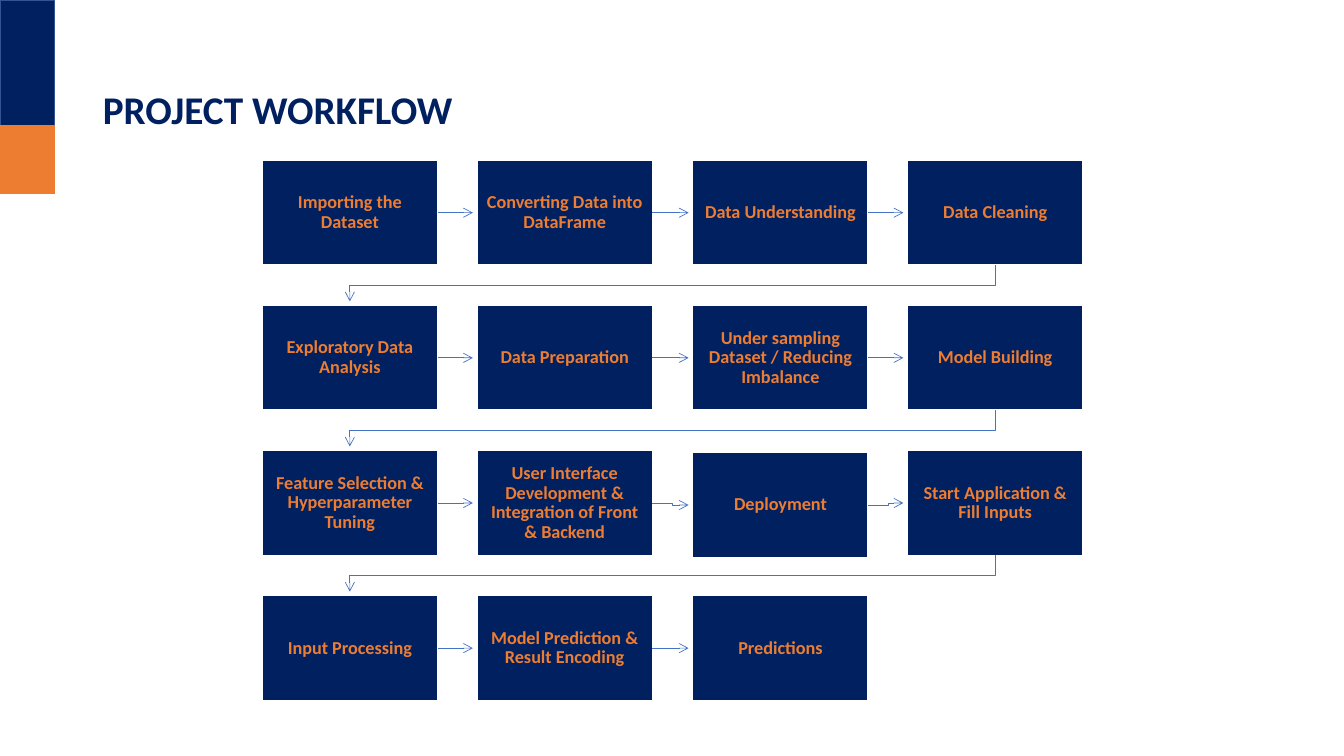
"""Build the project workflow slide."""
import dataclasses

import lxml.etree
import pptx
import pptx.dml.color
import pptx.enum.shapes
import pptx.enum.text
import pptx.oxml.ns
import pptx.shapes.autoshape
import pptx.shapes.base
import pptx.slide
import pptx.text.text
import pptx.util

NAVY = pptx.dml.color.RGBColor(0x00, 0x20, 0x60)
NAVY_EDGE = pptx.dml.color.RGBColor(0x32, 0x54, 0x91)
ORANGE = pptx.dml.color.RGBColor(0xED, 0x7D, 0x31)
BLUE = pptx.dml.color.RGBColor(0x44, 0x72, 0xC4)
WHITE = pptx.dml.color.RGBColor(0xFF, 0xFF, 0xFF)

EMU_PER_PX = 9144
COLUMNS = 4
GRID_LEFT, GRID_RIGHT, GRID_TOP = 260, 900, 159
ROW_PITCH = 144
STEP_WIDTH, STEP_HEIGHT = 174, 104
ARROW_GAP = 4
TURN_DEPTH = 20


@dataclasses.dataclass(frozen=True)
class Box:
    left: int
    top: int
    width: int
    height: int
    fill: pptx.dml.color.RGBColor
    edge: pptx.dml.color.RGBColor

    @property
    def center(self) -> int:
        return self.left + self.width // 2

    @property
    def middle(self) -> int:
        return self.top + self.height // 2


@dataclasses.dataclass(frozen=True)
class Step:
    label: str
    drop: int = 0


ACCENTS = (
    Box(0, 0, 54, 192, NAVY, NAVY_EDGE),
    Box(0, 125, 54, 67, ORANGE, ORANGE),
)
STEPS = (
    Step("Importing the Dataset"),
    Step("Converting Data into DataFrame"),
    Step("Data Understanding"),
    Step("Data Cleaning"),
    Step("Exploratory Data Analysis"),
    Step("Data Preparation"),
    Step("Under sampling Dataset / Reducing Imbalance"),
    Step("Model Building"),
    Step("Feature Selection & Hyperparameter Tuning"),
    Step("User Interface Development & Integration of Front & Backend"),
    Step("Deployment", drop=2),
    Step("Start Application & Fill Inputs"),
    Step("Input Processing"),
    Step("Model Prediction & Result Encoding"),
    Step("Predictions"),
)


def px(length: int) -> pptx.util.Emu:
    return pptx.util.Emu(length * EMU_PER_PX)


def step_box(index: int, step: Step) -> Box:
    row, column = divmod(index, COLUMNS)
    left = round(GRID_LEFT + column * (GRID_RIGHT - GRID_LEFT) / (COLUMNS - 1))
    top = GRID_TOP + row * ROW_PITCH + step.drop
    return Box(left, top, STEP_WIDTH, STEP_HEIGHT, NAVY, WHITE)


def style_paragraph(paragraph: pptx.text.text._Paragraph, size: int,
                    color: pptx.dml.color.RGBColor,
                    alignment: pptx.enum.text.PP_ALIGN) -> None:
    paragraph.alignment = alignment
    paragraph.line_spacing = 0.9
    paragraph.font.name = "Calibri"
    paragraph.font.size = pptx.util.Pt(size)
    paragraph.font.bold = True
    paragraph.font.color.rgb = color


def add_title(slide: pptx.slide.Slide, text: str) -> None:
    title = slide.shapes.title
    title.left, title.top, title.width, title.height = px(92), px(38), px(1150), px(145)
    title.text_frame.text = text
    title.text_frame.vertical_anchor = pptx.enum.text.MSO_ANCHOR.MIDDLE
    style_paragraph(title.text_frame.paragraphs[0], 28, NAVY, pptx.enum.text.PP_ALIGN.LEFT)


def add_box(slide: pptx.slide.Slide, box: Box) -> pptx.shapes.autoshape.Shape:
    shape = slide.shapes.add_shape(
        pptx.enum.shapes.MSO_SHAPE.RECTANGLE,
        px(box.left), px(box.top), px(box.width), px(box.height))
    shape.shadow.inherit = False
    shape.fill.solid()
    shape.fill.fore_color.rgb = box.fill
    shape.line.color.rgb = box.edge
    shape.line.width = pptx.util.Pt(1)
    return shape


def add_step(slide: pptx.slide.Slide, box: Box, label: str) -> pptx.shapes.autoshape.Shape:
    shape = add_box(slide, box)
    frame = shape.text_frame
    frame.word_wrap = True
    frame.vertical_anchor = pptx.enum.text.MSO_ANCHOR.MIDDLE
    frame.margin_left = frame.margin_right = px(10)
    frame.margin_top = frame.margin_bottom = px(10)
    frame.text = label
    style_paragraph(frame.paragraphs[0], 13, ORANGE, pptx.enum.text.PP_ALIGN.CENTER)
    return shape


def style_arrow(arrow: pptx.shapes.base.BaseShape) -> None:
    arrow.line.color.rgb = BLUE
    arrow.line.width = pptx.util.Pt(0.5)
    properties = arrow._element.spPr
    line = properties.find(pptx.oxml.ns.qn("a:ln"))
    lxml.etree.SubElement(line, pptx.oxml.ns.qn("a:tailEnd"), type="arrow")
    lxml.etree.SubElement(properties, pptx.oxml.ns.qn("a:effectLst"))


def add_straight_arrow(slide: pptx.slide.Slide, source: Box, target: Box,
                       source_shape: pptx.shapes.autoshape.Shape) -> None:
    arrow = slide.shapes.add_connector(
        pptx.enum.shapes.MSO_CONNECTOR.STRAIGHT,
        px(source.left + source.width), px(source.middle),
        px(target.left - ARROW_GAP), px(target.middle))
    arrow.begin_connect(source_shape, 3)
    style_arrow(arrow)


def add_bent_arrow(slide: pptx.slide.Slide, points: list[tuple[int, int]]) -> None:
    builder = slide.shapes.build_freeform(*points[0], scale=EMU_PER_PX)
    builder.add_line_segments(points[1:], close=False)
    arrow = builder.convert_to_shape()
    arrow.fill.background()
    style_arrow(arrow)


def add_arrow(slide: pptx.slide.Slide, source: Box, target: Box,
              source_shape: pptx.shapes.autoshape.Shape) -> None:
    right, bottom = source.left + source.width, source.top + source.height
    if target.left < source.left:
        turn = bottom + TURN_DEPTH
        add_bent_arrow(slide, [(source.center, bottom), (source.center, turn),
                               (target.center, turn), (target.center, target.top - ARROW_GAP)])
    elif source.middle == target.middle:
        add_straight_arrow(slide, source, target, source_shape)
    else:
        turn = right + TURN_DEPTH
        add_bent_arrow(slide, [(right, source.middle), (turn, source.middle),
                               (turn, target.middle), (target.left - ARROW_GAP, target.middle)])


def main() -> None:
    presentation = pptx.Presentation()
    presentation.slide_width = pptx.util.Inches(13.33)
    presentation.slide_height = pptx.util.Inches(7.5)
    slide = presentation.slides.add_slide(presentation.slide_layouts[5])
    add_title(slide, "PROJECT WORKFLOW")
    for accent in ACCENTS:
        add_box(slide, accent)
    boxes = [step_box(index, step) for index, step in enumerate(STEPS)]
    shapes = [add_step(slide, box, step.label) for box, step in zip(boxes, STEPS)]
    for source, target, shape in zip(boxes, boxes[1:], shapes):
        add_arrow(slide, source, target, shape)
    presentation.save("out.pptx")


if __name__ == "__main__":
    main()
